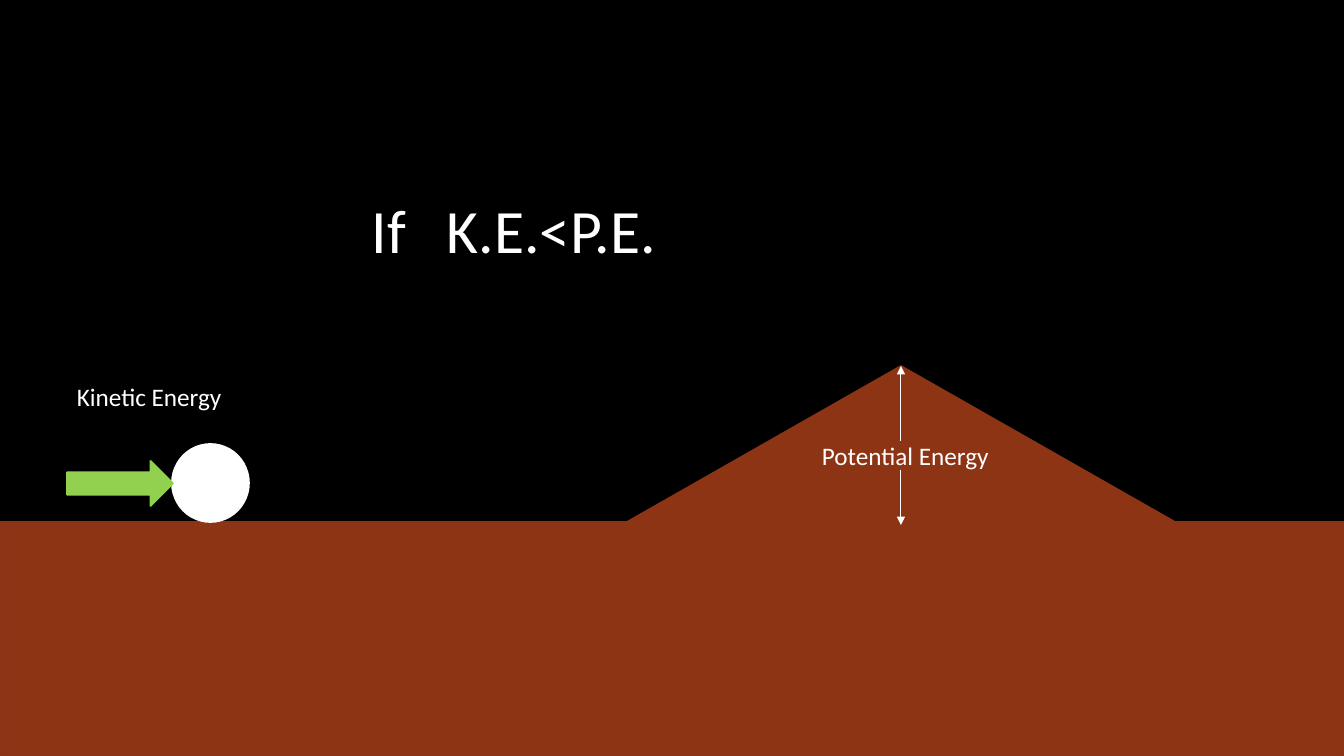
from lxml import etree
from pptx import Presentation
from pptx import util as u
from pptx.dml.color import RGBColor
from pptx.enum import shapes, text
from pptx.oxml.ns import qn

EMU_PER_PX = 12192000 / 1344
COLORS = {
    "sky": "000000",
    "earth": "8D3414",
    "earth_edge": "8B3314",
    "white": "FFFFFF",
    "push": "92D050",
}
KINDS = shapes.MSO_SHAPE


def px(*lengths):
    return [u.Emu(round(length * EMU_PER_PX)) for length in lengths]


def color(name):
    return RGBColor.from_string(COLORS[name])


def apply_format(target, values):
    for name, value in values.items():
        setattr(target, name, value)


def add_solid(slide, kind, box, fill, edge=None):
    shape = slide.shapes.add_shape(kind, *px(*box))
    shape.shadow.inherit = False
    shape.fill.solid()
    shape.fill.fore_color.rgb = color(fill)
    shape.line.color.rgb = color(edge or fill)
    shape.line.width = u.Pt(1.25)


def add_label(container, box, words, size, tab_stop=None):
    frame = container.shapes.add_textbox(*px(*box)).text_frame
    apply_format(frame, {
        "word_wrap": True,
        "auto_size": text.MSO_AUTO_SIZE.SHAPE_TO_FIT_TEXT,
    })
    paragraph = frame.paragraphs[0]
    run = paragraph.add_run()
    run.text = words
    apply_format(run.font, {"name": "Calibri", "size": u.Pt(size)})
    run.font.color.rgb = color("white")
    if tab_stop:
        properties = paragraph._p.get_or_add_pPr()
        stops = etree.SubElement(properties, qn("a:tabLst"))
        etree.SubElement(stops, qn("a:tab"), pos=str(px(tab_stop)[0]), algn="l")


def add_arrow(container, x, start_y, end_y):
    arrow = container.shapes.add_connector(
        shapes.MSO_CONNECTOR.STRAIGHT, *px(x, start_y, x, end_y))
    arrow.line.color.rgb = color("white")
    arrow.line.width = u.Pt(0.75)
    etree.SubElement(arrow.line._get_or_add_ln(), qn("a:tailEnd"), type="triangle")
    etree.SubElement(arrow._element.spPr, qn("a:effectLst"))


def main():
    presentation = Presentation()
    width, height = px(1344, 756)
    apply_format(presentation, {"slide_width": width, "slide_height": height})
    slide = presentation.slides.add_slide(presentation.slide_layouts[6])
    slide.background.fill.solid()
    slide.background.fill.fore_color.rgb = color("sky")

    # Ground and hill
    add_solid(slide, KINDS.RECTANGLE, (0, 522, 1344, 234), "earth", "earth_edge")
    add_solid(slide, KINDS.ISOSCELES_TRIANGLE, (627, 366, 548, 156), "earth")

    # Ball and the push on it
    add_solid(slide, KINDS.OVAL, (172, 444, 77, 78), "white")
    add_solid(slide, KINDS.RIGHT_ARROW, (67, 461, 106, 45), "push")
    add_label(slide, (67, 376, 262, 40), "Kinetic Energy", 18)

    # Height of the hill
    hill_height = slide.shapes.add_group_shape()
    add_label(hill_height, (812, 435, 205, 40), "Potential Energy", 18)
    for start_y, end_y in ((441, 366), (470, 525)):
        add_arrow(hill_height, 901, start_y, end_y)

    # Condition
    add_label(slide, (362, 187, 402, 84), "If\tK.E.<P.E.", 44, tab_stop=75)

    presentation.save("out.pptx")


if __name__ == "__main__":
    main()
